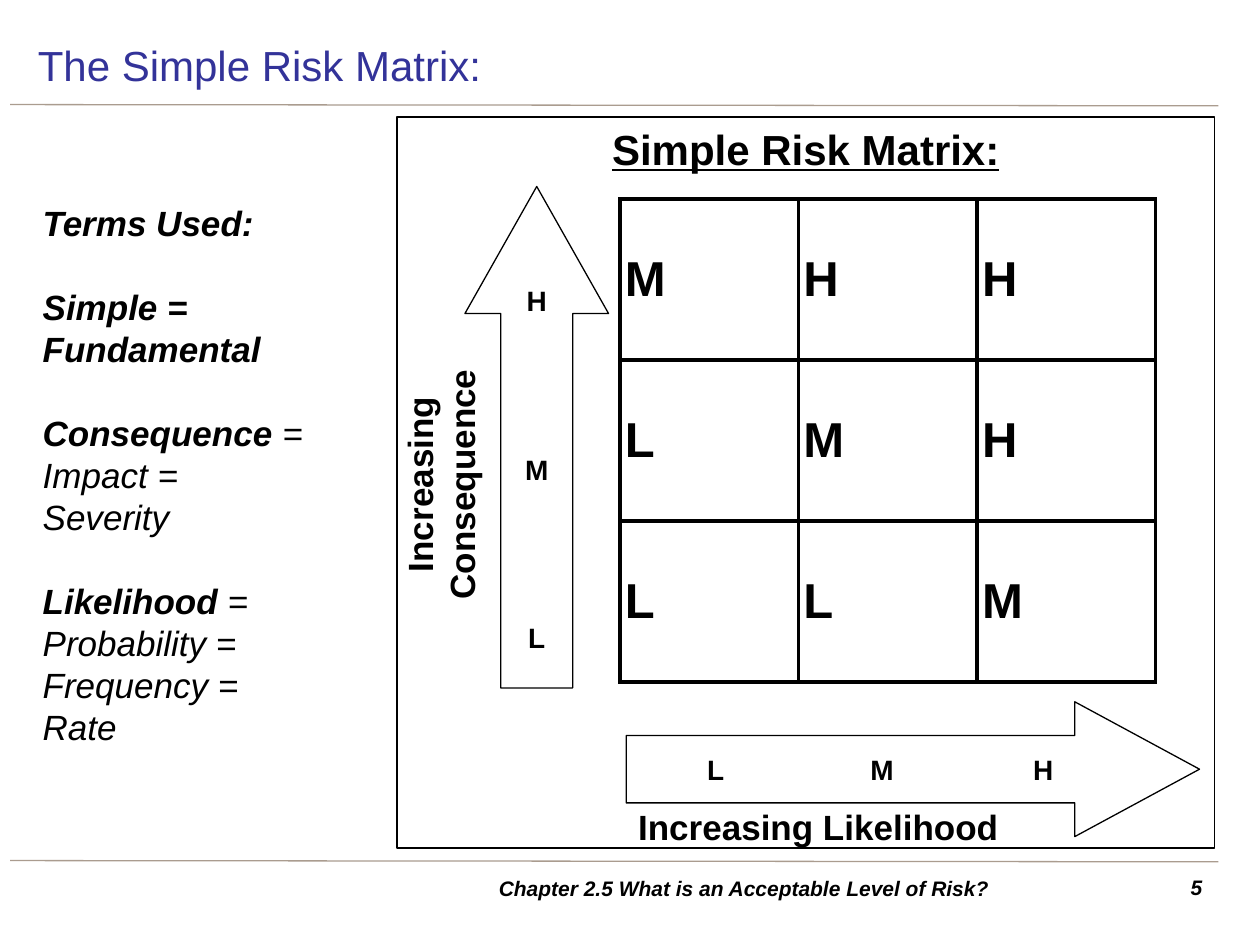
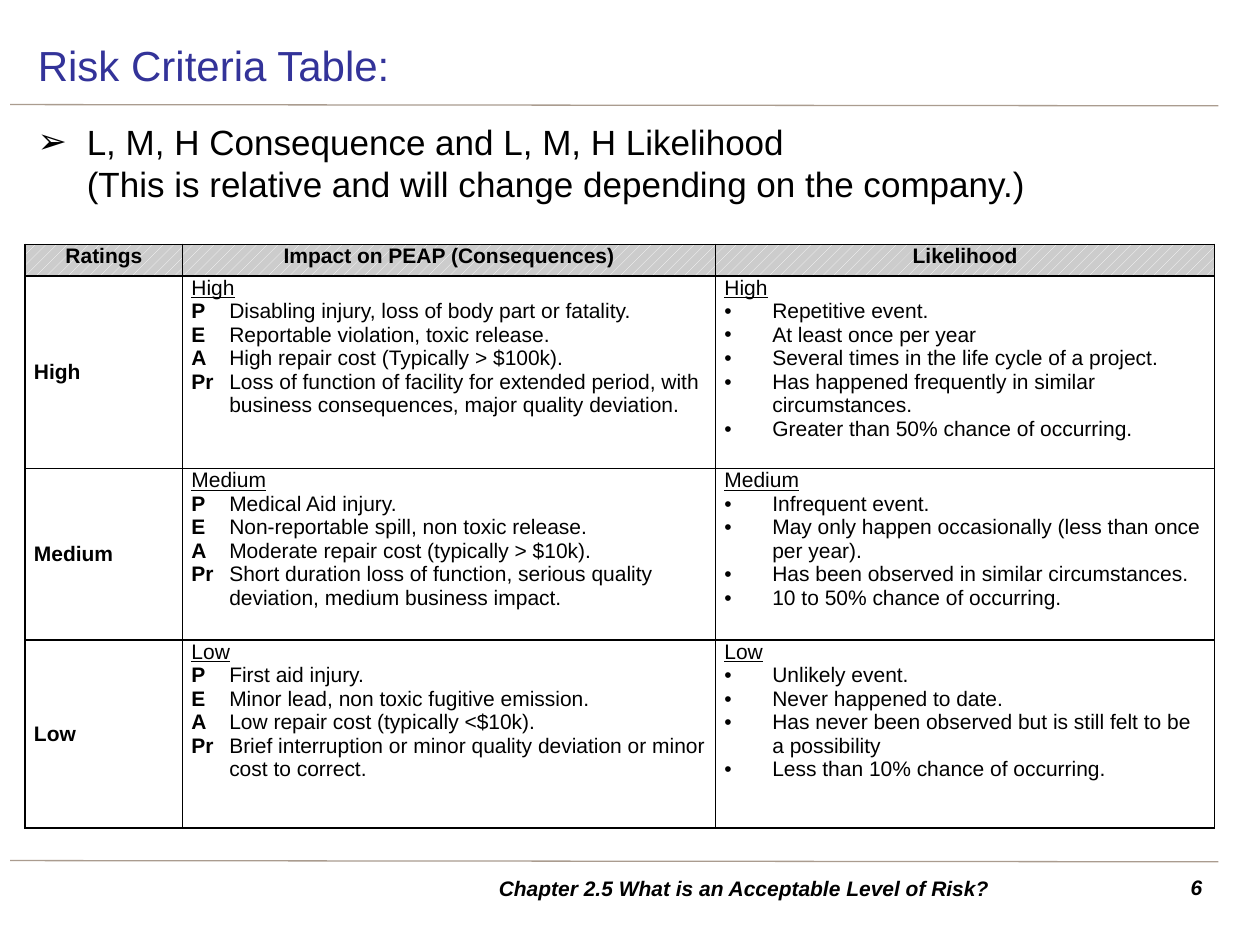
from lxml.etree import SubElement
from pptx import Presentation
from pptx.dml.color import RGBColor
from pptx.enum.dml import MSO_PATTERN
from pptx.enum.shapes import MSO_CONNECTOR, MSO_SHAPE
from pptx.enum.text import MSO_ANCHOR, MSO_AUTO_SIZE, PP_ALIGN
from pptx.oxml.ns import qn
from pptx.util import Inches, Pt

COLUMNS, ROWS = 100, 75
FONT = "Arial"
BLACK, WHITE, TITLE_BLUE = "000000", "FFFFFF", "333399"
RULE_BROWN, HEADER_GREY = "AA9C8F", "CCCCCC"
TEXT_INSETS = (0.1, 0.05, 0.1, 0.05)
NO_INSETS = (0, 0, 0, 0)
ARROW_INSETS = (0.02,) * 4
MATRIX_INSETS = (0.04,) * 4
CRITERIA_INSETS = (0.07, 0, 0.07, 0)
FOOTER = "Chapter 2.5 What is an Acceptable Level of Risk?"

MATRIX = ["MHH", "LMH", "LLM"]
TERMS = [
    ("Terms Used:", {"bold": True}),
    ("Simple = Fundamental", {"bold": True, "before": 24}),
    (" = Impact =", {"lead": "Consequence", "before": 24}),
    ("Severity", {}),
    (" =\nProbability =\nFrequency =\nRate", {"lead": "Likelihood", "before": 24}),
]
HEADINGS = ["Ratings", "Impact on PEAP (Consequences)", "Likelihood"]
IMPACT_KEYS = ["P", "E", "A", "Pr"]
CRITERIA = {
    "High": (
        [
            "Disabling injury, loss of body part or fatality.",
            "Reportable violation, toxic release.",
            "High repair cost (Typically > $100k).",
            "Loss of function of facility for extended period, with business "
            "consequences, major quality deviation.",
        ],
        [
            "Repetitive event.",
            "At least once per year",
            "Several times in the life cycle of a project.",
            "Has happened frequently in similar circumstances.",
            "Greater than 50% chance of occurring.",
        ],
    ),
    "Medium": (
        [
            "Medical Aid injury.",
            "Non-reportable spill, non toxic release.",
            "Moderate repair cost (typically > $10k).",
            "Short duration loss of function, serious quality deviation, "
            "medium business impact.",
        ],
        [
            "Infrequent event.",
            "May only happen occasionally (less than once per year).",
            "Has been observed in similar circumstances.",
            "10 to 50% chance of occurring.",
        ],
    ),
    "Low": (
        [
            "First aid injury.",
            "Minor lead, non toxic fugitive emission.",
            "Low repair cost (typically <$10k).",
            "Brief interruption or minor quality deviation or minor cost to correct.",
        ],
        [
            "Unlikely event.",
            "Never happened to date.",
            "Has never been observed but is still felt to be a possibility",
            "Less than 10% chance of occurring.",
        ],
    ),
}


def color(hex_string):
    return RGBColor.from_string(hex_string)


def add_run(paragraph, text, size, bold=False, italic=False, underline=False, ink=BLACK):
    for index, line in enumerate(text.split("\n")):
        if index:
            paragraph.add_line_break()
        run = paragraph.add_run()
        run.text = line
        font = run.font
        font.name, font.size = FONT, Pt(size)
        font.bold, font.italic, font.underline = bold, italic, underline
        font.color.rgb = color(ink)


def write(paragraph, text, lead="", align=PP_ALIGN.LEFT, before=0, indent=0,
          bullet="", tabs=(), tab_align="l", **font):
    properties = paragraph._p.get_or_add_pPr()
    if indent:
        properties.set("marL", str(Inches(indent)))
        properties.set("indent", str(-Inches(indent)))
    if bullet:
        SubElement(properties, qn("a:buFont")).set("typeface", FONT)
        SubElement(properties, qn("a:buChar")).set("char", bullet)
    if tabs:
        tab_list = SubElement(properties, qn("a:tabLst"))
        for position in tabs:
            tab = SubElement(tab_list, qn("a:tab"))
            tab.set("pos", str(Inches(position)))
            tab.set("algn", tab_align)
    paragraph.alignment = align
    paragraph.space_before = Pt(before)
    if lead:
        add_run(paragraph, lead, **{**font, "bold": True})
    add_run(paragraph, text, **font)


def write_all(frame, entries, **shared):
    for index, (text, own) in enumerate(entries):
        paragraph = frame.add_paragraph() if index else frame.paragraphs[0]
        write(paragraph, text, **{**shared, **own})


class Deck:
    def __init__(self):
        self.presentation = Presentation()
        self.presentation.slide_width = Inches(10)
        self.presentation.slide_height = Inches(7.5)
        self.slide = None

    def across(self, columns):
        return round(self.presentation.slide_width * columns / COLUMNS)

    def down(self, rows):
        return round(self.presentation.slide_height * rows / ROWS)

    def place(self, left, top, width, height):
        return self.across(left), self.down(top), self.across(width), self.down(height)

    def start(self, title, number):
        self.slide = self.presentation.slides.add_slide(self.presentation.slide_layouts[5])
        for top in (8.3, 68.3):
            self.rule(top)
        shape = self.slide.shapes.title
        shape.left, shape.top, shape.width, shape.height = self.place(2, 2.4, 94.5, 5.5)
        self.set_text(shape, [(title, {})], anchor=MSO_ANCHOR.MIDDLE, size=24, ink=TITLE_BLUE)
        footer_font = {"size": 12, "bold": True, "italic": True}
        self.text((90.6, 68.9, 5.8, 3.1), [(str(number), {})],
                  align=PP_ALIGN.RIGHT, **footer_font)
        self.text((29.5, 68.9, 59.1, 3.1), [(FOOTER, {})], anchor=MSO_ANCHOR.MIDDLE,
                  align=PP_ALIGN.CENTER, **footer_font)

    def rule(self, top):
        line = self.slide.shapes.add_connector(
            MSO_CONNECTOR.STRAIGHT, self.across(0.8), self.down(top),
            self.across(96.7), self.down(top + 0.1))
        line.line.color.rgb = color(RULE_BROWN)
        line.line.width = Pt(0.75)
        SubElement(line._element.spPr, qn("a:effectLst"))

    def set_text(self, shape, entries, anchor=MSO_ANCHOR.TOP, insets=TEXT_INSETS, **shared):
        frame = shape.text_frame
        frame.word_wrap = True
        frame.auto_size = MSO_AUTO_SIZE.NONE
        frame.vertical_anchor = anchor
        (frame.margin_left, frame.margin_top,
         frame.margin_right, frame.margin_bottom) = map(Inches, insets)
        write_all(frame, entries, **shared)

    def text(self, at, entries, rotation=0, **shared):
        box = self.slide.shapes.add_textbox(*self.place(*at))
        box.rotation = rotation
        self.set_text(box, entries, **shared)

    def outlined(self, kind, at, entries, adjustments=(), **shared):
        shape = self.slide.shapes.add_shape(kind, *self.place(*at))
        shape.shadow.inherit = False
        for index, value in enumerate(adjustments):
            shape.adjustments[index] = value
        shape.fill.solid()
        shape.fill.fore_color.rgb = color(WHITE)
        shape.line.color.rgb = color(BLACK)
        shape.line.width = Pt(0.75)
        self.set_text(shape, entries, **shared)

    def table(self, left, top, widths, heights):
        table = self.slide.shapes.add_table(
            len(heights), len(widths),
            *self.place(left, top, sum(widths), sum(heights))).table
        table.first_row = table.horz_banding = False
        for column, width in zip(table.columns, widths):
            column.width = self.across(width)
        for row, height in zip(table.rows, heights):
            row.height = self.down(height)
        return table

    def cell(self, cell, entries, border, insets, fill=None, pattern=False,
             anchor=MSO_ANCHOR.TOP, **shared):
        properties = cell._tc.get_or_add_tcPr()
        for side in ("lnL", "lnR", "lnT", "lnB"):
            line = SubElement(properties, qn(f"a:{side}"))
            line.set("w", str(Pt(border)))
            solid = SubElement(line, qn("a:solidFill"))
            SubElement(solid, qn("a:srgbClr")).set("val", BLACK)
        if pattern:
            cell.fill.patterned()
            cell.fill.pattern = MSO_PATTERN.PERCENT_20
            cell.fill.fore_color.rgb = color(WHITE)
            cell.fill.back_color.rgb = color(HEADER_GREY)
        elif fill:
            cell.fill.solid()
            cell.fill.fore_color.rgb = color(fill)
        else:
            cell.fill.background()
        cell.vertical_anchor = anchor
        (cell.margin_left, cell.margin_top,
         cell.margin_right, cell.margin_bottom) = map(Inches, insets)
        write_all(cell.text_frame, entries, **shared)


def build_matrix_slide(deck):
    deck.start("The Simple Risk Matrix:", 5)
    deck.text((2.4, 15.5, 27.8, 44.8), TERMS, size=20, italic=True)
    deck.outlined(MSO_SHAPE.RECTANGLE, (31.5, 9.3, 64.9, 58),
                  [("Simple Risk Matrix:", {})], align=PP_ALIGN.CENTER,
                  size=24, bold=True, underline=True)
    axis_format = {"insets": NO_INSETS, "align": PP_ALIGN.CENTER, "size": 20, "bold": True}
    deck.text((21.8, 34.9, 26.7, 7.1), [("Increasing\nConsequence", {})],
              rotation=270, **axis_format)
    deck.text((49.7, 63.9, 30.5, 3.5), [("Increasing Likelihood", {})], **axis_format)

    table = deck.table(49.2, 15.8, [14.17] * 3, [12.78] * 3)
    for row, ratings in enumerate(MATRIX):
        for column, rating in enumerate(ratings):
            deck.cell(table.cell(row, column), [(rating, {})], border=2.25,
                      insets=MATRIX_INSETS, fill=WHITE, anchor=MSO_ANCHOR.MIDDLE,
                      size=28, bold=True)

    arrow_format = {"anchor": MSO_ANCHOR.MIDDLE, "insets": ARROW_INSETS,
                    "size": 16, "bold": True}
    deck.outlined(MSO_SHAPE.RIGHT_ARROW, (49.7, 55.7, 45.5, 10.7),
                  [("\tL\tM\tH", {"tabs": (0.69, 2.01, 3.29), "tab_align": "ctr"})],
                  adjustments=(0.5, 0.925), **arrow_format)
    levels = [("H", {}), ("M", {"before": 77}), ("L", {"before": 77})]
    deck.outlined(MSO_SHAPE.UP_ARROW, (36.9, 14.8, 11.4, 39.8), levels,
                  adjustments=(0.5, 0.885), align=PP_ALIGN.CENTER, **arrow_format)


def build_criteria_slide(deck):
    deck.start("Risk Criteria Table:", 6)
    deck.text((2, 9.1, 94.5, 9),
              [("L, M, H Consequence and L, M, H Likelihood\n"
                "(This is relative and will change depending on the company.)", {})],
              indent=0.39, bullet="➢", size=20)
    table = deck.table(2, 19.4, [12.5, 42.3, 39.6], [2.5, 15.3, 13.6, 14.9])
    cell_format = {"border": 1, "insets": CRITERIA_INSETS, "size": 12}
    for column, heading in enumerate(HEADINGS):
        deck.cell(table.cell(0, column), [(heading, {})], pattern=True,
                  align=PP_ALIGN.CENTER, bold=True, **cell_format)
    for row, (rating, (impacts, likelihoods)) in enumerate(CRITERIA.items(), 1):
        heading = (rating, {"underline": True})
        impact_entries = [
            ("\t" + impact, {"lead": key, "indent": 0.3, "tabs": (0.3,)})
            for key, impact in zip(IMPACT_KEYS, impacts)]
        likelihood_entries = [
            (likelihood, {"indent": 0.38, "bullet": "•"}) for likelihood in likelihoods]
        deck.cell(table.cell(row, 0), [(rating, {})], anchor=MSO_ANCHOR.MIDDLE,
                  bold=True, **cell_format)
        deck.cell(table.cell(row, 1), [heading, *impact_entries], **cell_format)
        deck.cell(table.cell(row, 2), [heading, *likelihood_entries], **cell_format)


def main():
    deck = Deck()
    build_matrix_slide(deck)
    build_criteria_slide(deck)
    deck.presentation.save("out.pptx")


if __name__ == "__main__":
    main()
